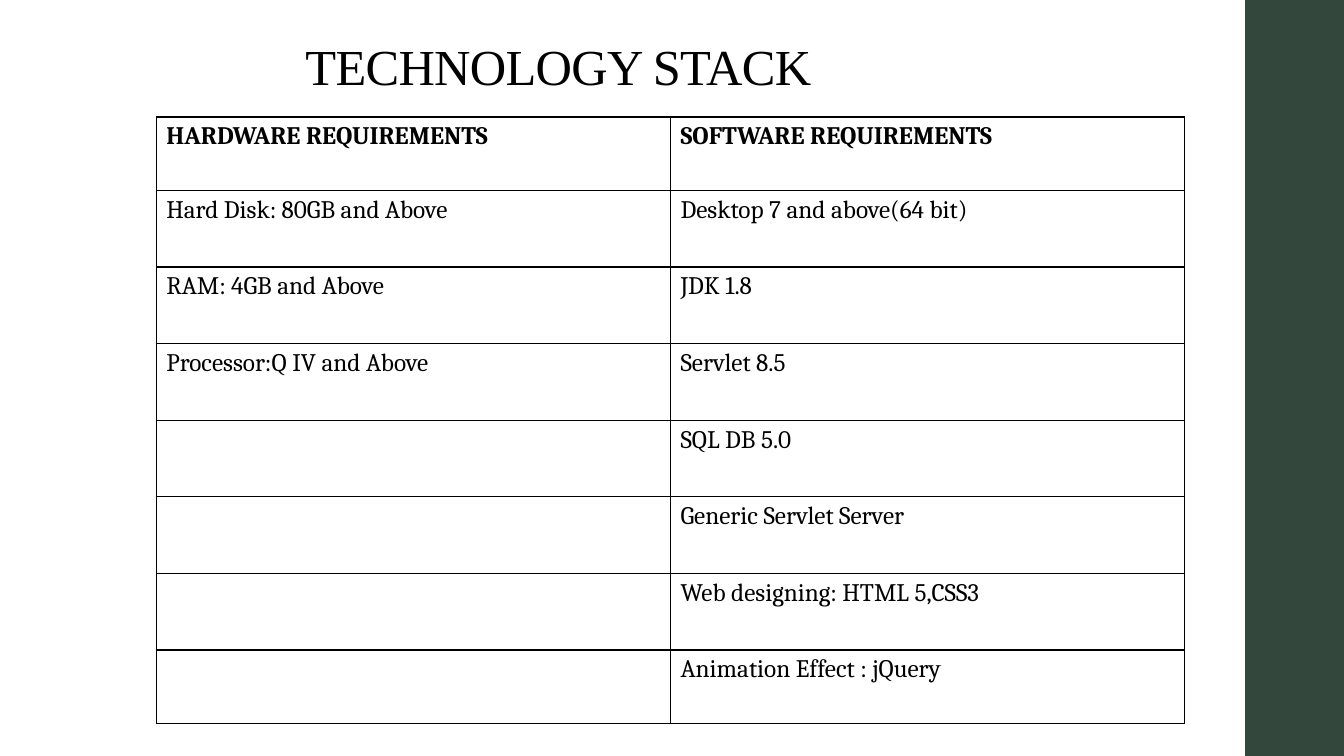
from lxml import etree
from pptx import Presentation
from pptx.dml.color import RGBColor
from pptx.enum.shapes import MSO_SHAPE
from pptx.enum.text import MSO_ANCHOR, MSO_AUTO_SIZE, PP_ALIGN
from pptx.oxml.ns import qn
from pptx.util import Inches, Pt

RECTANGLE = MSO_SHAPE.RECTANGLE
BOTTOM = MSO_ANCHOR.BOTTOM
NO_AUTOFIT = MSO_AUTO_SIZE.NONE
LEFT = PP_ALIGN.LEFT

BLACK = RGBColor(0x00, 0x00, 0x00)
WHITE = RGBColor(0xFF, 0xFF, 0xFF)
DARK_GREEN = RGBColor(0x34, 0x47, 0x3D)

TITLE_FONT = "Times New Roman"
TABLE_FONT = "Cambria"

SLIDE_WIDTH, SLIDE_HEIGHT = Inches(13.33), Inches(7.5)
SIDEBAR_WIDTH = Inches(0.98)
TITLE_INDENT = Inches(2.28)
EDGE_ROW, INNER_ROW = Inches(0.73), Inches(0.76)

REQUIREMENTS = [
    ("HARDWARE REQUIREMENTS", "SOFTWARE REQUIREMENTS"),
    ("Hard Disk: 80GB and Above", "Desktop 7 and above(64 bit)"),
    ("RAM: 4GB and Above", "JDK 1.8"),
    ("Processor:Q IV and Above", "Servlet 8.5"),
    ("", "SQL DB 5.0"),
    ("", "Generic Servlet Server"),
    ("", "Web designing: HTML 5,CSS3"),
    ("", "Animation Effect : jQuery"),
]


def add_styled_run(paragraph, text, font_name, size, bold=False):
    run = paragraph.add_run()
    run.text = text
    run.font.name = font_name
    run.font.size = Pt(size)
    run.font.bold = bold
    run.font.color.rgb = BLACK
    return run


def add_sidebar(slide, left, top, width, height):
    sidebar = slide.shapes.add_shape(RECTANGLE, left, top, width, height)
    sidebar.shadow.inherit = False
    sidebar.fill.solid()
    sidebar.fill.fore_color.rgb = DARK_GREEN
    sidebar.line.fill.background()


def place_title(slide, text, left, top, width, height):
    title = slide.shapes.title
    title.left, title.top, title.width, title.height = left, top, width, height
    frame = title.text_frame
    frame.auto_size = NO_AUTOFIT
    frame.word_wrap = True
    frame.vertical_anchor = BOTTOM
    heading = frame.paragraphs[0]
    heading.alignment = LEFT
    heading.line_spacing = 0.9
    heading._p.get_or_add_pPr().set("marL", str(TITLE_INDENT))
    run = add_styled_run(heading, text, TITLE_FONT, 36)
    run.font._element.set("spc", "-50")


def outline_cell(cell):
    properties = cell._tc.get_or_add_tcPr()
    for side in ("a:lnL", "a:lnR", "a:lnT", "a:lnB"):
        border = etree.SubElement(properties, qn(side), w=str(Pt(1)))
        fill = etree.SubElement(border, qn("a:solidFill"))
        etree.SubElement(fill, qn("a:srgbClr"), val=str(BLACK))


def add_requirements_table(slide, rows, left, top, width, height):
    table = slide.shapes.add_table(
        len(rows), len(rows[0]), left, top, width, height).table
    for column in table.columns:
        column.width = width // len(rows[0])
    for row_index, entries in enumerate(rows):
        is_edge = row_index in (0, len(rows) - 1)
        table.rows[row_index].height = EDGE_ROW if is_edge else INNER_ROW
        for column_index, entry in enumerate(entries):
            cell = table.cell(row_index, column_index)
            outline_cell(cell)
            cell.fill.solid()
            cell.fill.fore_color.rgb = WHITE
            if entry:
                add_styled_run(cell.text_frame.paragraphs[0], entry,
                               TABLE_FONT, 18, bold=row_index == 0)


def main():
    deck = Presentation()
    deck.slide_width, deck.slide_height = SLIDE_WIDTH, SLIDE_HEIGHT
    slide = deck.slides.add_slide(deck.slide_layouts[5])
    add_sidebar(slide, SLIDE_WIDTH - SIDEBAR_WIDTH, 0,
                SIDEBAR_WIDTH, SLIDE_HEIGHT)
    place_title(slide, "TECHNOLOGY STACK", Inches(0.65), Inches(0.4),
                Inches(11.69), Inches(0.61))
    add_requirements_table(slide, REQUIREMENTS, Inches(1.55), Inches(1.16),
                           Inches(10.2), Inches(6.02))
    deck.save("out.pptx")


if __name__ == "__main__":
    main()
